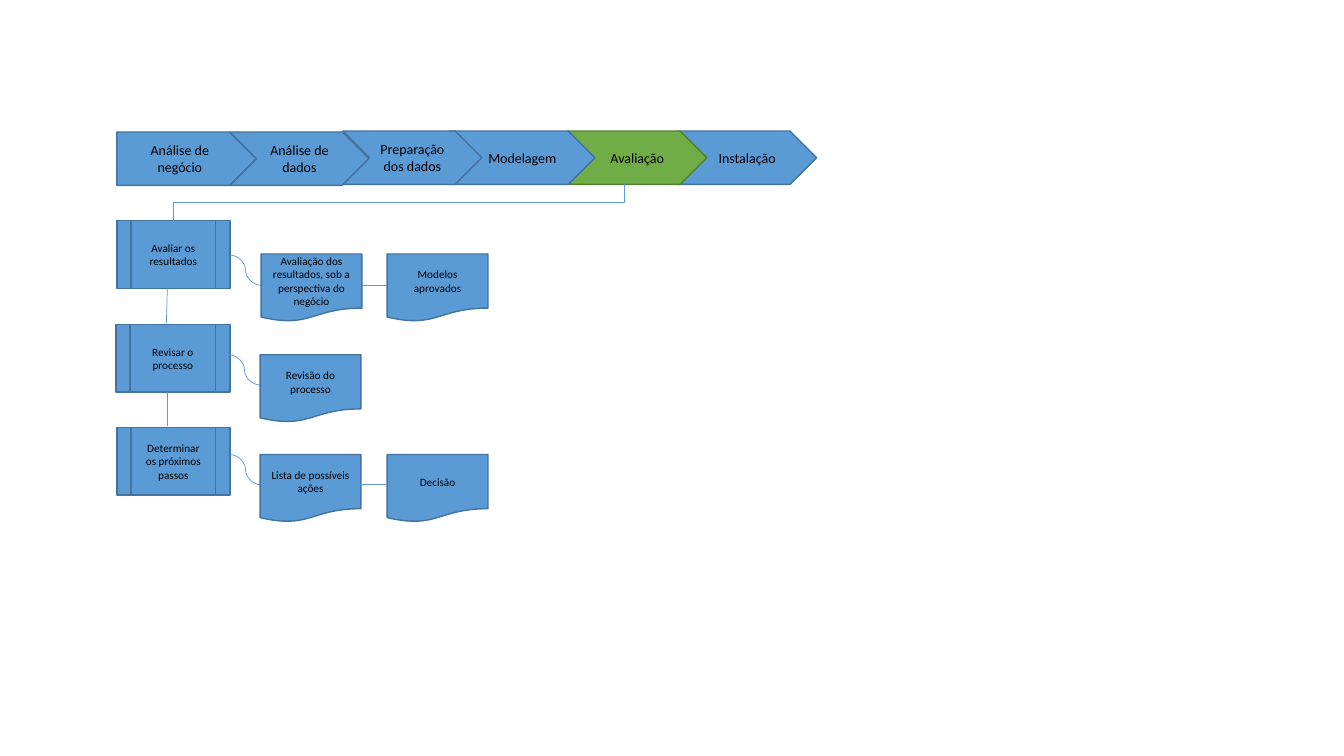
from lxml import etree
from pptx import Presentation
from pptx import util as u
from pptx.dml.color import RGBColor
from pptx.enum import shapes, text
from pptx.oxml.ns import qn

COLORS = {
    "blue": "5B9BD5",
    "blue_edge": "43739E",
    "green": "70AD47",
    "green_edge": "538035",
    "text": "000000",
}
SHAPE = shapes.MSO_SHAPE
LINK = shapes.MSO_CONNECTOR

PHASES = [
    ("Análise de negócio", SHAPE.PENTAGON, 1.16, 1.31, 1.38, "blue"),
    ("Instalação", SHAPE.CHEVRON, 6.72, 1.3, 1.38, "blue"),
    ("Avaliação", SHAPE.CHEVRON, 5.63, 1.3, 1.38, "green"),
    ("Modelagem", SHAPE.CHEVRON, 4.46, 1.3, 1.44, "blue"),
    ("Preparação dos dados", SHAPE.CHEVRON, 3.4, 1.3, 1.38, "blue"),
    ("Análise de dados", SHAPE.CHEVRON, 2.28, 1.31, 1.38, "blue"),
]
TASKS = [
    ("Avaliar os resultados", 1.16, 2.19, 1.12),
    ("Revisar o processo", 1.15, 3.22, 1.13),
    ("Determinar os próximos passos", 1.16, 4.24, 1.12),
]
DOCUMENTS = [
    ("Avaliação dos resultados, sob a perspectiva do negócio", 2.59, 2.52),
    ("Decisão", 3.84, 4.51),
    ("Lista de possíveis ações", 2.58, 4.51),
    ("Revisão do processo", 2.58, 3.52),
    ("Modelos aprovados", 3.84, 2.52),
]
TASK_LINKS = [(1.66, 2.86, 1.65, 3.21), (1.66, 3.89, 1.66, 4.23)]
OUTPUT_LINKS = [(2.28, 2.53), (2.27, 3.52), (2.28, 4.51)]
DOCUMENT_LINKS = [(3.59, 2.83, 3.84, 2.83), (3.57, 4.81, 3.83, 4.81)]


def rgb(name):
    return RGBColor.from_string(COLORS[name])


def add_step(slide, kind, label, left, top, width, height, size, color="blue"):
    step = slide.shapes.add_shape(kind, *map(u.Inches, (left, top, width, height)))
    step.shadow.inherit = False
    step.fill.solid()
    step.fill.fore_color.rgb = rgb(color)
    step.line.color.rgb = rgb(color + "_edge")
    step.line.width = u.Pt(1)
    frame = step.text_frame
    frame.word_wrap = True
    frame.vertical_anchor = text.MSO_ANCHOR.MIDDLE
    paragraph = frame.paragraphs[0]
    paragraph.text = label
    paragraph.alignment = text.PP_ALIGN.CENTER
    paragraph.font.name = "Calibri"
    paragraph.font.size = u.Pt(size)
    paragraph.font.color.rgb = rgb("text")


def add_link(slide, kind, *ends):
    link = slide.shapes.add_connector(kind, *map(u.Inches, ends))
    link.line.color.rgb = rgb("blue")
    link.line.width = u.Pt(0.5)
    etree.SubElement(link._element.spPr, qn("a:effectLst"))
    return link


def add_drop_link(slide, x1, y1, x2, y2):
    middle_x, middle_y = (x1 + x2) / 2, (y1 + y2) / 2
    half_drop, half_span = (y2 - y1) / 2, (x1 - x2) / 2
    link = add_link(slide, LINK.ELBOW, middle_x - half_drop, middle_y - half_span,
                    middle_x + half_drop, middle_y + half_span)
    link._element.spPr.find(qn("a:xfrm")).set("rot", str(90 * 60000))


def main():
    deck = Presentation()
    deck.slide_width, deck.slide_height = u.Inches(13.33), u.Inches(7.5)
    slide = deck.slides.add_slide(deck.slide_layouts[6])

    for label, kind, left, top, width, color in PHASES:
        add_step(slide, kind, label, left, top, width, 0.53, 10, color)
    for label, left, top, width in TASKS:
        add_step(slide, SHAPE.FLOWCHART_PREDEFINED_PROCESS, label, left, top, width, 0.67, 8)

    add_drop_link(slide, 6.19, 1.83, 1.72, 2.19)
    for ends in TASK_LINKS:
        add_link(slide, LINK.STRAIGHT, *ends)
    for x, y in OUTPUT_LINKS:
        add_link(slide, LINK.CURVE, x, y, x + 0.31, y + 0.3)

    for label, left, top in DOCUMENTS:
        add_step(slide, SHAPE.FLOWCHART_DOCUMENT, label, left, top, 1, 0.67, 8)
    for ends in DOCUMENT_LINKS:
        add_link(slide, LINK.STRAIGHT, *ends)

    deck.save("out.pptx")


main()
